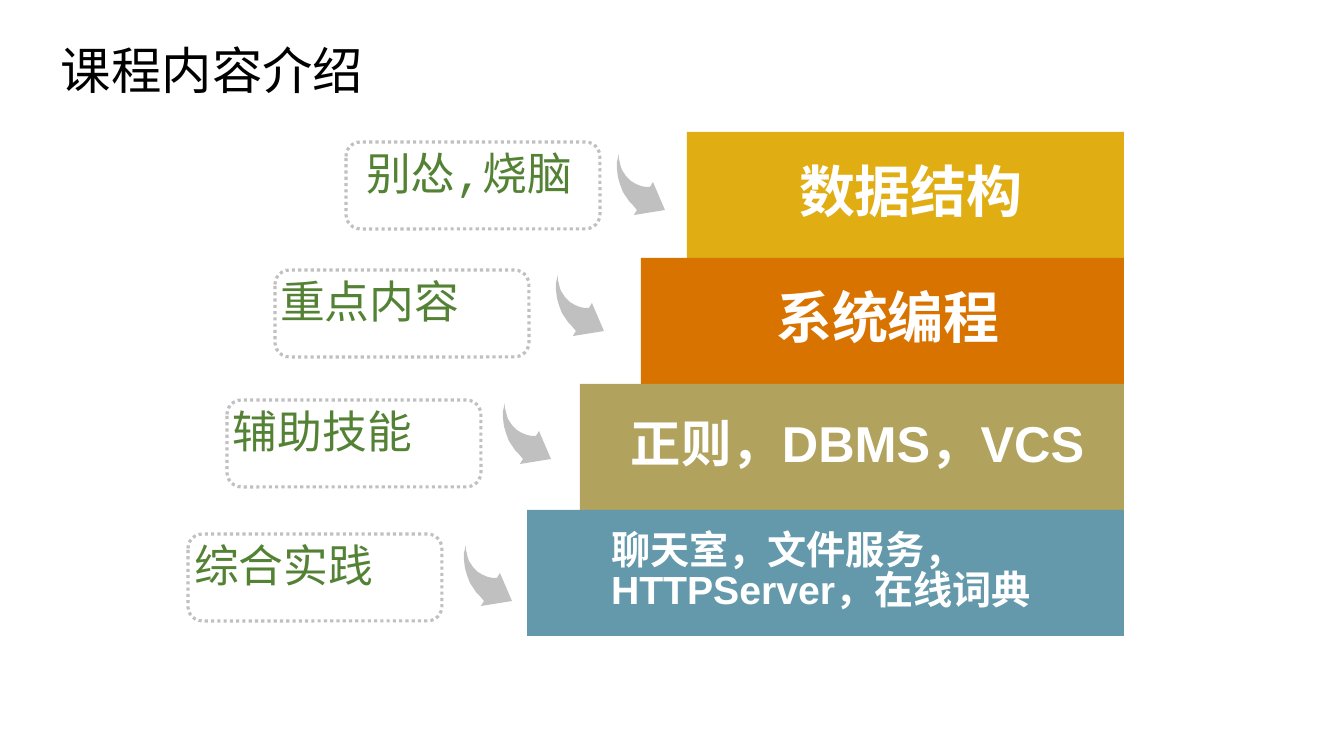
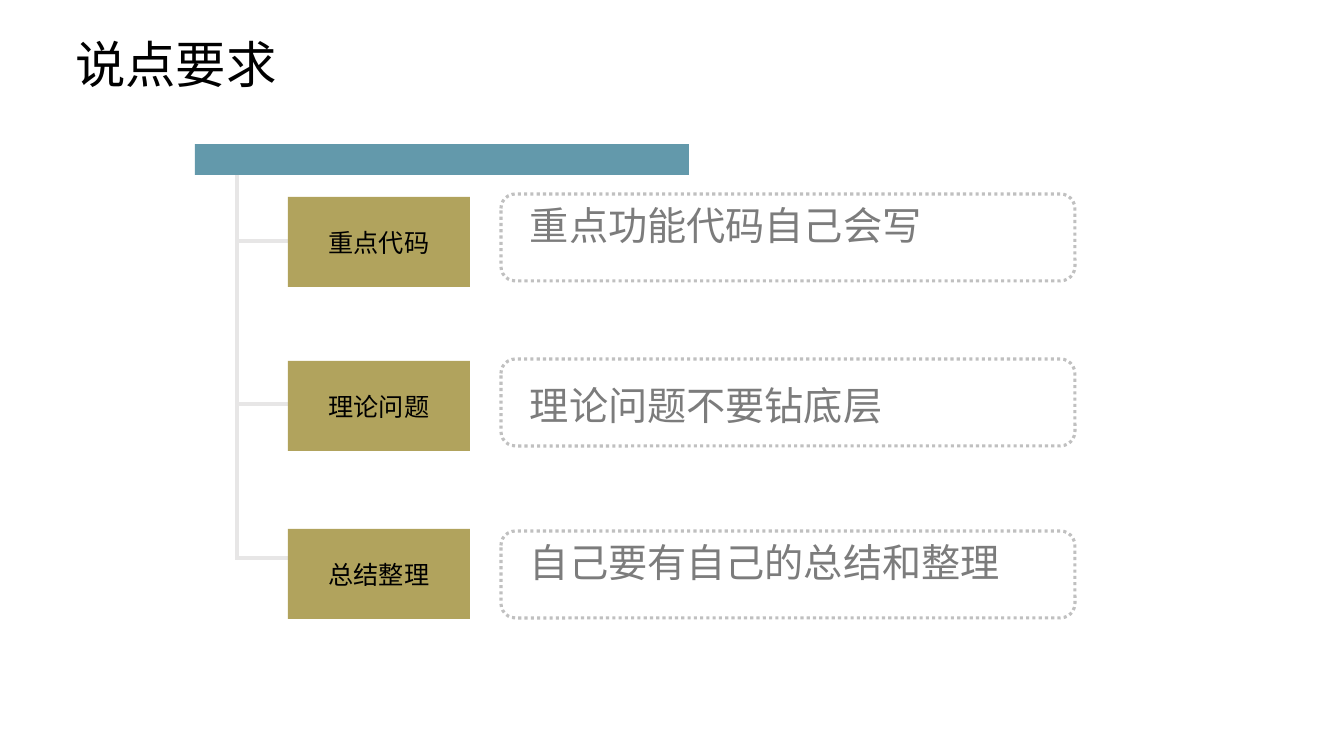
from lxml import etree
from pptx import Presentation
from pptx import util as u
from pptx.dml.color import RGBColor
from pptx.enum import dml, shapes, text
from pptx.oxml.ns import qn

SCALE = 914400 / 100.8
WIDE, HIGH = 1344, 756

BLACK = RGBColor(0x00, 0x00, 0x00)
WHITE = RGBColor(0xFF, 0xFF, 0xFF)
SILVER = RGBColor(0xC0, 0xC0, 0xC0)
PALE = RGBColor(0xE7, 0xE6, 0xE6)
GREY = RGBColor(0x7C, 0x7C, 0x7C)
GREEN = RGBColor(0x54, 0x82, 0x35)
GOLD = RGBColor(0xE0, 0xAD, 0x12)
ORANGE = RGBColor(0xD9, 0x73, 0x00)
OLIVE = RGBColor(0xB1, 0xA3, 0x5D)
TEAL = RGBColor(0x63, 0x99, 0xAB)

LEFT, MID = text.PP_ALIGN.LEFT, text.PP_ALIGN.CENTER
TOP, MIDDLE = text.MSO_ANCHOR.TOP, text.MSO_ANCHOR.MIDDLE
EDGE = 2.24

ARROW = [(20, 56), (17, 61), (48, 56), (36, 28), (33, 33), (29, 33), (24, 32),
         (19, 30), (14, 27), (11, 24), (9, 22), (7, 19), (5, 16), (4, 13),
         (3, 9), (2, 5), (2, 0), (1, 4), (0, 8), (0, 11), (0, 15), (1, 23),
         (3, 30), (6, 38), (8, 41), (10, 44), (12, 47), (15, 50)]


def px(*sizes):
    """Turn pixels into EMU."""
    return [u.Emu(round(size * SCALE)) for size in sizes]


def write(shape, words, font, size, color, align=LEFT, anchor=TOP,
          pad=(10, 5, 10, 5), wrap=True, bold=False, before=0, lines=None):
    """Put one formatted paragraph into a shape."""
    frame = shape.text_frame
    frame.text = words
    frame.word_wrap = wrap
    frame.auto_size = text.MSO_AUTO_SIZE.NONE
    frame.vertical_anchor = anchor
    (frame.margin_left, frame.margin_top,
     frame.margin_right, frame.margin_bottom) = px(*pad)
    para = frame.paragraphs[0]
    para.alignment = align
    para.space_before = u.Pt(before)
    if lines:
        para.line_spacing = lines
    for run in para.runs:
        run.font.name = font
        run.font.size = u.Pt(size)
        run.font.bold = bold
        run.font.color.rgb = color


def start(deck, words, x, y, w):
    """Add a slide with its title."""
    slide = deck.slides.add_slide(deck.slide_layouts[5])
    title = slide.shapes.title
    title.left, title.top, title.width, title.height = px(x, y, w, 71)
    write(title, words, "Calibri", 36, BLACK, wrap=False)
    return slide


def block(slide, x, y, w, h, color):
    """Add a plain filled rectangle."""
    rect = slide.shapes.add_shape(shapes.MSO_SHAPE.RECTANGLE, *px(x, y, w, h))
    rect.shadow.inherit = False
    rect.fill.solid()
    rect.fill.fore_color.rgb = color
    rect.line.fill.background()
    return rect


def frame(slide, x, y, w):
    """Add a dotted rounded frame."""
    box = slide.shapes.add_shape(
        shapes.MSO_SHAPE.ROUNDED_RECTANGLE, *px(x, y, w, 87))
    box.shadow.inherit = False
    box.fill.background()
    box.line.color.rgb = SILVER
    box.line.width = u.Pt(EDGE)
    box.line.dash_style = dml.MSO_LINE.ROUND_DOT


def note(slide, words, x, y, w, h, size, color):
    """Add the text that lies over a frame."""
    box = slide.shapes.add_textbox(*px(x, y, w, h))
    write(box, words, "Courier New", size, color, before=size / 2)


def arrow(slide, x, y):
    """Add a curved arrow."""
    pen = slide.shapes.build_freeform(*ARROW[0], scale=SCALE)
    pen.add_line_segments(ARROW[1:], close=True)
    shape = pen.convert_to_shape(*px(x, y))
    shape.shadow.inherit = False
    shape.fill.solid()
    shape.fill.fore_color.rgb = SILVER
    shape.line.fill.background()


def line(slide, x1, y1, x2, y2):
    """Add a pale straight line."""
    link = slide.shapes.add_connector(
        shapes.MSO_CONNECTOR.STRAIGHT, *px(x1, y1, x2, y2))
    link.line.color.rgb = PALE
    link.line.width = u.Pt(EDGE)
    etree.SubElement(link._element.spPr, qn("a:effectLst"))


def course(deck):
    """Build the stairs of course topics."""
    slide = start(deck, "课程内容介绍", 51, 34, 323)
    right, top, rise = 1124, 132, 126
    # words, size, left, colour, alignment, left padding
    steps = [
        ("数据结构", 40, 687, GOLD, MID, 16),
        ("系统编程", 40, 641, ORANGE, MID, 16),
        ("正则，DBMS，VCS", 36, 580, OLIVE, MID, 16),
        ("聊天室，文件服务，HTTPServer，在线词典", 28, 527, TEAL, LEFT, 84),
    ]
    for i, (words, size, x, color, align, pad) in enumerate(steps):
        rect = block(slide, x, top + i * rise, right - x, rise, color)
        write(rect, words, "Arial", size, WHITE, align, MIDDLE,
              (pad, 5, 5, 5), bold=True, before=size * 0.3, lines=0.85)
    # words, frame left and top, text left, arrow left and top
    hints = [
        ("别怂,烧脑", 346, 142, 356, 617, 154),
        ("重点内容", 275, 270, 270, 556, 275),
        ("辅助技能", 227, 400, 223, 503, 403),
        ("综合实践", 188, 534, 184, 464, 545),
    ]
    for words, x, y, inner, tip, drop in hints:
        arrow(slide, tip, drop)
        frame(slide, x, y, 254)
        note(slide, words, inner, y - 1, 256, 63, 32, GREEN)


def rules(deck):
    """Build the tree of requirements."""
    slide = start(deck, "说点要求", 65, 28, 222)
    block(slide, 195, 144, 494, 31, TEAL)
    trunk = 237
    line(slide, trunk, 175, trunk, 560)
    # name, advice, tops of block, branch, frame and text
    rows = [
        ("重点代码", "重点功能代码自己会写", 197, 241, 194, 196),
        ("理论问题", "理论问题不要钻底层", 361, 404, 359, 376),
        ("总结整理", "自己要有自己的总结和整理", 529, 558, 531, 533),
    ]
    for name, advice, y, branch, edge, inner in rows:
        line(slide, trunk, branch, 321, branch)
        rect = block(slide, 288, y, 182, 90, OLIVE)
        write(rect, name, "Arial", 18, BLACK, MID, MIDDLE, (5, 5, 5, 5))
        frame(slide, 501, edge, 574)
        note(slide, advice, 520, inner, 540, 57, 28, GREY)


def main():
    """Make the deck and save it."""
    deck = Presentation()
    deck.slide_width, deck.slide_height = px(WIDE, HIGH)
    course(deck)
    rules(deck)
    deck.save("out.pptx")


main()
